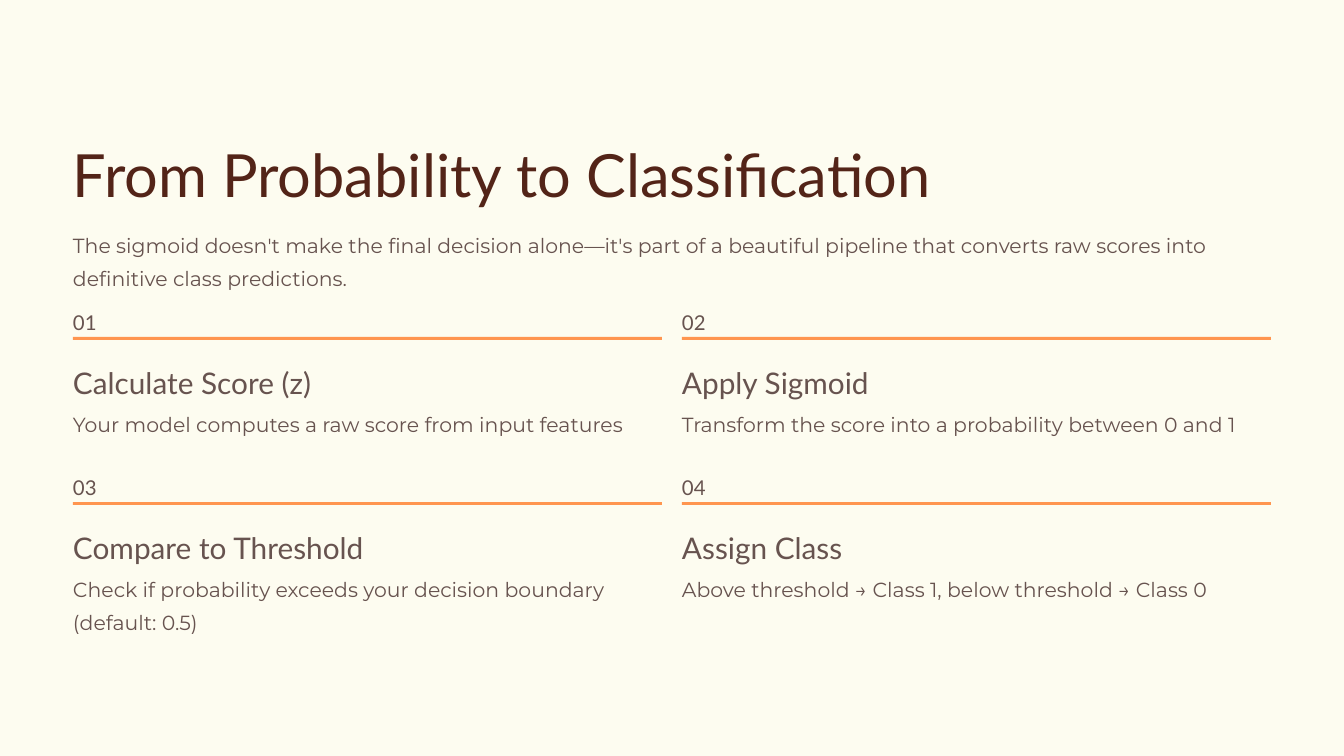
from pptx import Presentation, util as u
from pptx.dml.color import RGBColor
from pptx.enum import shapes, text

SCALE = 914400 / 84
HUES = {"page": "FDFCF0", "title": "532418", "body": "67534F", "rule": "FF954F"}
HEAD, BODY = "Lato", "Montserrat"

STEPS = [
    ("Calculate Score (z)", "Your model computes a raw score from input features"),
    ("Apply Sigmoid", "Transform the score into a probability between 0 and 1"),
    ("Compare to Threshold",
     "Check if probability exceeds your decision boundary (default: 0.5)"),
    ("Assign Class", "Above threshold → Class 1, below threshold → Class 0"),
]
LEFT, TOP = 73, 303
WIDE, FULL = 589, 1198
STEP_X, STEP_Y = 609, 165


def px(n):
    return u.Emu(round(n * SCALE))


def hue(name):
    return RGBColor.from_string(HUES[name])


class Deck:
    def __init__(self):
        self.prs = Presentation()
        self.prs.slide_width, self.prs.slide_height = px(1344), px(756)
        self.slide = self.prs.slides.add_slide(self.prs.slide_layouts[5])
        fill = self.slide.background.fill
        fill.solid()
        fill.fore_color.rgb = hue("page")

    def style(self, shape, words, size, face, tint="body", lead=1.31):
        frame = shape.text_frame
        frame.text = words
        frame.word_wrap = True
        frame.auto_size = text.MSO_AUTO_SIZE.NONE
        frame.vertical_anchor = text.MSO_ANCHOR.TOP
        frame.margin_left = frame.margin_right = 0
        frame.margin_top = frame.margin_bottom = 0
        para = frame.paragraphs[0]
        para.alignment = text.PP_ALIGN.LEFT
        para.line_spacing = lead
        font = para.runs[0].font
        font.name, font.size = face, u.Pt(size)
        font.color.rgb = hue(tint)

    def title(self, words, x, y, w, h):
        shape = self.slide.shapes.title
        shape.left, shape.top = px(x), px(y)
        shape.width, shape.height = px(w), px(h)
        self.style(shape, words, 51, HEAD, "title", 1.3)

    def label(self, words, x, y, w, h, size=17.5, face=BODY, lead=1.31):
        box = self.slide.shapes.add_textbox(px(x), px(y), px(w), px(h))
        self.style(box, words, size, face, lead=lead)

    def rule(self, x, y, w, h):
        bar = self.slide.shapes.add_shape(
            shapes.MSO_SHAPE.RECTANGLE, px(x), px(y), px(w), px(h))
        bar.shadow.inherit = False
        bar.fill.solid()
        bar.fill.fore_color.rgb = hue("rule")
        bar.line.fill.background()

    def step(self, num, head, body, x, y):
        """Stack a number, a rule, a heading and a line of detail."""
        self.label(f"{num:02}", x, y, 52, 27, face=HEAD)
        self.rule(x, y + 34, WIDE, 3)
        self.label(head, x, y + 51, 307, 39, 25.5, HEAD, 1.29)
        self.label(body, x, y + 102, WIDE, 54)


def main():
    deck = Deck()
    deck.title("From Probability to Classification", LEFT, 117, 886, 78)
    deck.label("The sigmoid doesn't make the final decision alone—it's part of "
               "a beautiful pipeline that converts raw scores into definitive "
               "class predictions.", LEFT, 226, FULL, 54)
    for i, (head, body) in enumerate(STEPS):
        row, col = divmod(i, 2)
        deck.step(i + 1, head, body, LEFT + col * STEP_X, TOP + row * STEP_Y)
    deck.prs.save("out.pptx")


if __name__ == "__main__":
    main()
